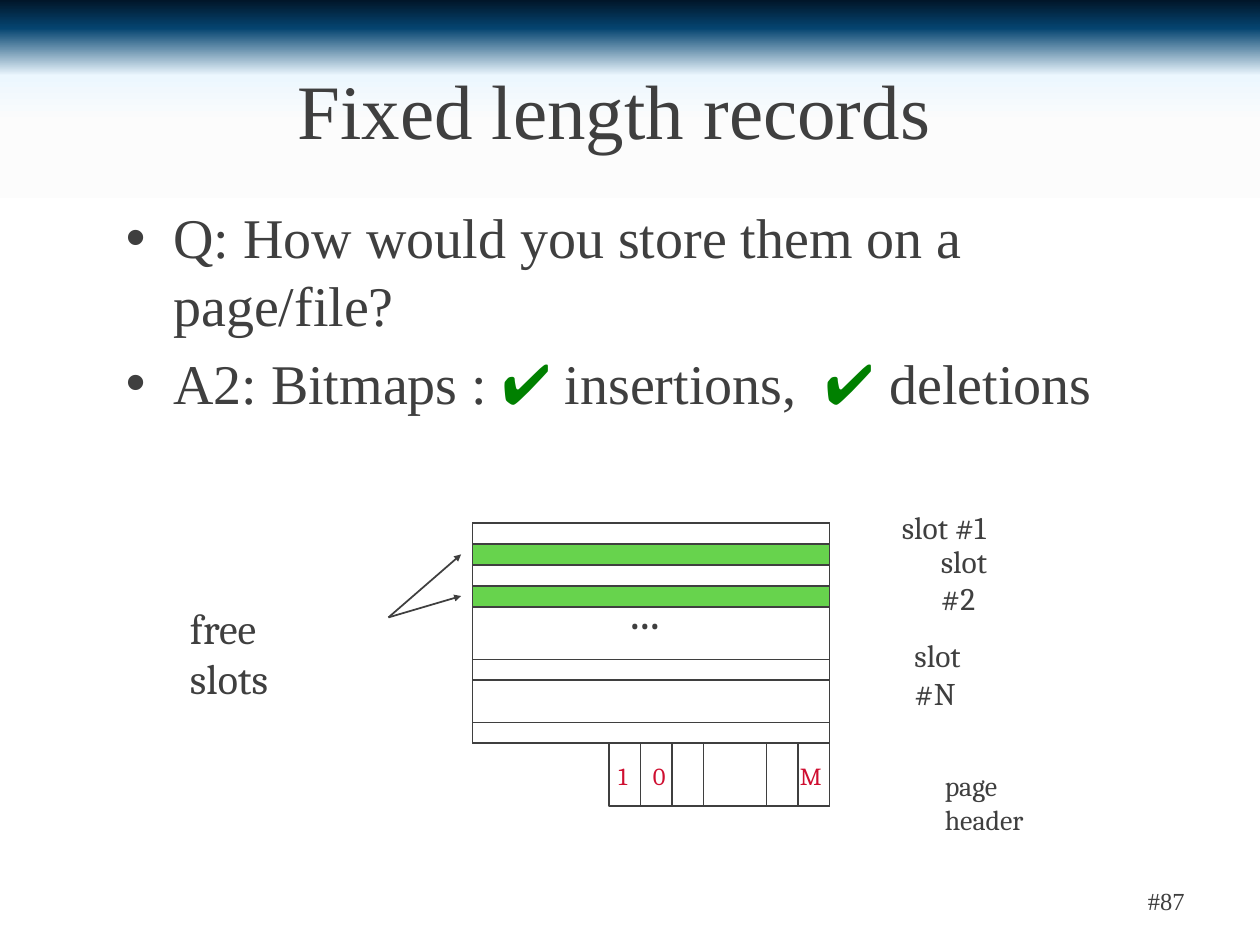
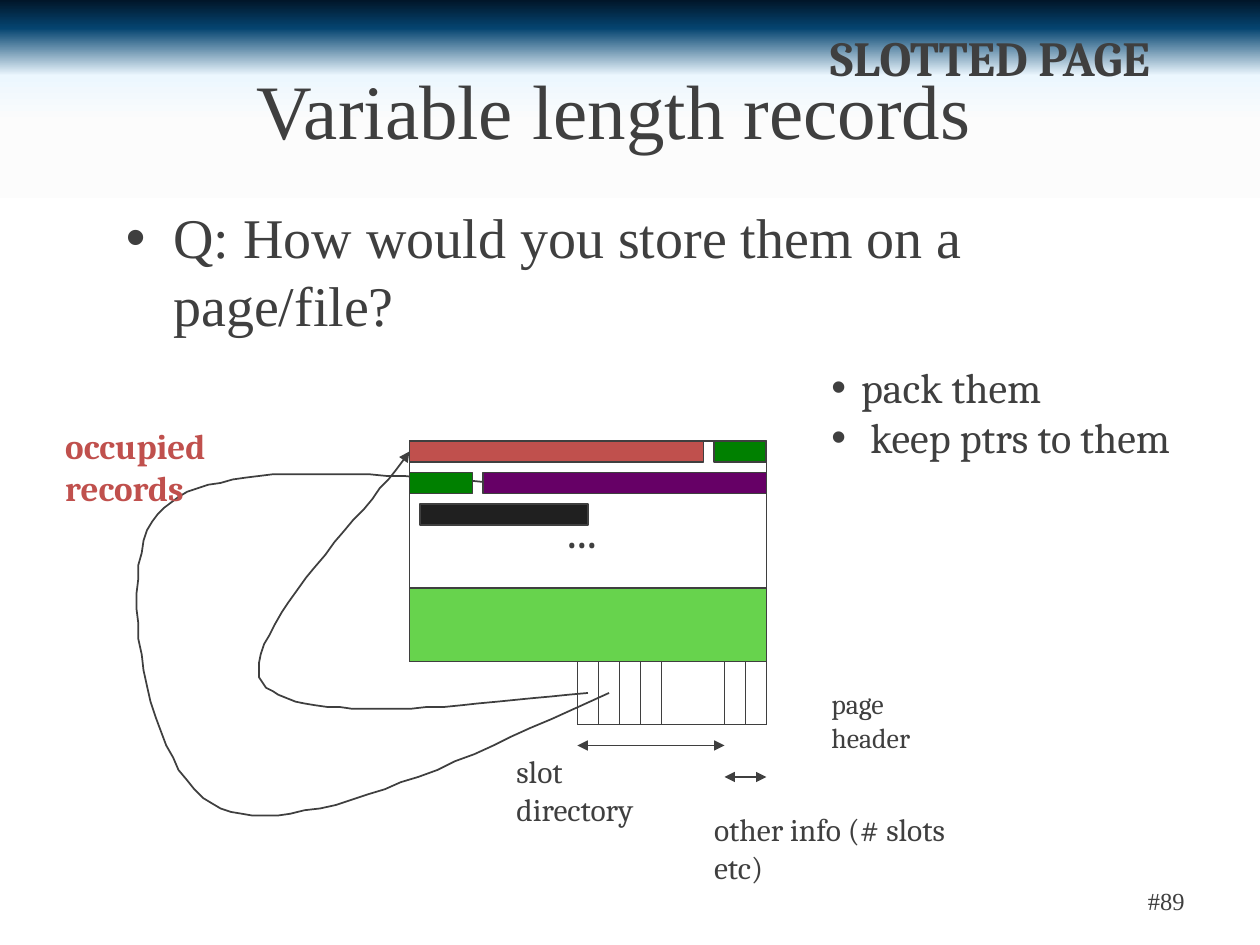
from dataclasses import dataclass

from lxml import etree
from pptx import Presentation
from pptx.dml.color import RGBColor
from pptx.enum.shapes import MSO_CONNECTOR, MSO_SHAPE
from pptx.enum.text import MSO_ANCHOR, PP_ALIGN
from pptx.oxml.ns import qn
from pptx.util import Pt

LEFT, CENTER, RIGHT = PP_ALIGN.LEFT, PP_ALIGN.CENTER, PP_ALIGN.RIGHT
TOP, MIDDLE = MSO_ANCHOR.TOP, MSO_ANCHOR.MIDDLE
RECTANGLE = MSO_SHAPE.RECTANGLE
STRAIGHT = MSO_CONNECTOR.STRAIGHT


@dataclass(frozen=True)
class Theme:
    ink: str = "3F3F3F"
    free: str = "67D34D"
    green: str = "008000"
    red: str = "C0504D"
    purple: str = "660066"
    black: str = "202020"
    bit: str = "CF0E30"
    heading_font: str = "Times New Roman"
    label_font: str = "Cambria"
    mark_font: str = "Arial"
    title: int = 44
    body: int = 32
    dots: int = 28
    large: int = 24
    strong: int = 20
    label: int = 18
    small: int = 16
    tiny: int = 14
    background: tuple = ((0, "011629"), (3, "054470"), (8, "ECF7FE"),
                         (13, "FCFCFC"), (21, "FFFFFF"), (98, "FFFFFF"))


theme = Theme()


def add_text(page, place, paragraphs, size, font=theme.label_font, color=theme.ink,
             bold=False, align=LEFT, anchor=TOP, indent=0, gap=0):
    box = page.shapes.add_textbox(*[Pt(value) for value in place])
    frame = box.text_frame
    frame.word_wrap = True
    frame.vertical_anchor = anchor
    for index, text in enumerate(paragraphs):
        para = frame.paragraphs[0] if index == 0 else frame.add_paragraph()
        para.text = text
        para.alignment = align
        if index:
            para.space_before = Pt(gap)
        if indent:
            properties = para._p.get_or_add_pPr()
            properties.set("marL", str(Pt(indent)))
            properties.set("indent", str(-Pt(indent)))
            etree.SubElement(properties, qn("a:buFont"), typeface=theme.mark_font)
            etree.SubElement(properties, qn("a:buChar"), char="•")
        for span in para.runs:
            span.font.size = Pt(size)
            span.font.name = font
            span.font.bold = bold
            span.font.color.rgb = RGBColor.from_string(color)
    return box


def draw_line(shape, ends=(), head_size="med"):
    shape.line.color.rgb = RGBColor.from_string(theme.ink)
    shape.line.width = Pt(1)
    properties = shape._element.spPr
    if properties.find(qn("a:effectLst")) is None:
        etree.SubElement(properties, qn("a:effectLst"))
    for end in ends:
        etree.SubElement(shape.line._get_or_add_ln(), qn(f"a:{end}"),
                         type="triangle", w=head_size, len=head_size)


deck = Presentation()
deck.slide_width, deck.slide_height = Pt(720), Pt(540)

fill = deck.slide_master.background.fill
fill.gradient()
fill.gradient_angle = 270
stops = deck.slide_master.element.find(".//" + qn("a:gsLst"))
stops.clear()
for percent, color in theme.background:
    stop = etree.SubElement(stops, qn("a:gs"), pos=str(percent * 1000))
    etree.SubElement(stop, qn("a:srgbClr"), val=color)

question = "Q: How would you store them on a page/file?"
pages, bodies = [], []
for title, number, points in (
    ("Fixed length records", "#87", [question, "A2: Bitmaps : "]),
    ("Variable length records", "#89", [question]),
):
    page = deck.slides.add_slide(deck.slide_layouts[6])
    add_text(page, (516, 500.4, 168, 28.8), [number], theme.tiny,
             theme.heading_font, align=RIGHT, anchor=MIDDLE)
    add_text(page, (12, 21.6, 678, 81), [title], theme.title,
             theme.heading_font, align=CENTER, anchor=MIDDLE)
    body = add_text(page, (12, 108, 678, 374.4), points, theme.body,
                    theme.heading_font, indent=27, gap=6.4)
    body.text_frame.margin_left = Pt(60)
    body.text_frame.margin_top = Pt(8)
    pages.append(page)
    bodies.append(body)
fixed, variable = pages

answer = bodies[0].text_frame.paragraphs[1]
for text, font, color in (
    ("✔", theme.mark_font, theme.green),
    (" insertions,  ", theme.heading_font, theme.ink),
    ("✔ ", theme.mark_font, theme.green),
    ("deletions", theme.heading_font, theme.ink),
):
    span = answer.add_run()
    span.text = text
    span.font.size = Pt(theme.body)
    span.font.name = font
    span.font.color.rgb = RGBColor.from_string(color)

curves = (
    ((336, 396), ((251, 405), (167, 413), (150, 390)),
     ((133, 367), (220, 280), (234, 258))),
    ((348, 396), ((258.5, 437.5), (169, 479), (126, 462)),
     ((83, 445), (64, 325), (90, 294)), ((116, 263), (199, 269.5), (282, 276))),
)
steps = 24
for start, *segments in curves:
    outline = variable.shapes.build_freeform(*start, scale=Pt(1))
    points, previous = [], start
    for first, second, last in segments:
        for step in range(1, steps + 1):
            t = step / steps
            points.append(tuple(
                round((1 - t) ** 3 * a + 3 * (1 - t) ** 2 * t * b
                      + 3 * (1 - t) * t ** 2 * c + t ** 3 * d, 2)
                for a, b, c, d in zip(previous, first, second, last)))
        previous = last
    outline.add_line_segments(points, close=False)
    pointer = outline.convert_to_shape()
    pointer.fill.background()
    pointer.shadow.inherit = False
    draw_line(pointer, ["tailEnd"])

row, page_width, page_height, header_width, header_height = 12, 204, 126, 108, 36
fixed_left, fixed_top = 270, 298.8
variable_left, variable_top = 234, 252
fixed_header = fixed_top + page_height
variable_header = variable_top + page_height

fixed_bars = [(fixed_left, fixed_top, page_width, page_height, None)]
fixed_bars += [(fixed_left, fixed_top + row * offset, page_width, row, color)
               for offset, color in ((0, None), (1, theme.free), (3, theme.free),
                                     (6.5, None), (9.5, None))]
fixed_bars.append((366, fixed_header, header_width, header_height, None))
fixed_bars += [(348 + 18 * cell, fixed_header, 18, header_height, None)
               for cell in (0, 1, 2, 5, 6)]

variable_bars = [(variable_left, variable_top + 84, page_width, 42, theme.free),
                 (variable_left, variable_top, page_width, page_height, None)]
variable_bars += [(variable_left + offset, variable_top + 18 * line, width, row, color)
                  for offset, line, width, color in (
                      (0, 0, 168, theme.red), (174, 0, 30, theme.green),
                      (0, 1, 36, theme.green), (42, 1, 162, theme.purple),
                      (6, 2, 96, theme.black))]
variable_bars.append((330, variable_header, header_width, header_height, None))
variable_bars += [(330 + 12 * cell, variable_header, 12, header_height, None)
                  for cell in (0, 1, 2, 3, 7, 8)]

for page, bars in ((fixed, fixed_bars), (variable, variable_bars)):
    for *place, color in bars:
        bar = page.shapes.add_shape(RECTANGLE, *[Pt(value) for value in place])
        bar.shadow.inherit = False
        if color:
            bar.fill.solid()
            bar.fill.fore_color.rgb = RGBColor.from_string(color)
        else:
            bar.fill.background()
        draw_line(bar)

both = ["headEnd", "tailEnd"]
for page, start, end, ends, head_size in (
    (fixed, (222, 352.8), (263.5, 316.8), ["tailEnd"], "sm"),
    (fixed, (222, 352.8), (263.5, 340.6), ["tailEnd"], "sm"),
    (variable, (330, 426), (414, 426), both, "med"),
    (variable, (414, 444), (438, 444), both, "med"),
):
    arrow = page.shapes.add_connector(
        STRAIGHT, *[Pt(value) for value in start + end])
    draw_line(arrow, ends, head_size)

for page, place, text, size in (
    (fixed, (508.3, 286.6, 66, 28.8), "slot #1", theme.label),
    (fixed, (530.6, 306, 55, 28.8), "slot #2", theme.label),
    (fixed, (515.5, 360, 55, 28.8), "slot #N", theme.label),
    (fixed, (352.8, 328.3, 40, 41), "...", theme.dots),
    (fixed, (101.5, 340.6, 75, 36), "free slots", theme.large),
    (fixed, (532.8, 435.6, 72, 26.6), "page header", theme.small),
    (variable, (468, 388.8, 72, 26.6), "page header", theme.small),
    (variable, (288, 426.2, 90, 28.8), "slot directory", theme.label),
    (variable, (401, 459.4, 155, 28.8), "other info (# slots etc)", theme.label),
    (variable, (316.8, 282.2, 40, 41), "...", theme.dots),
):
    add_text(page, place, [text], size)

for left, bit in ((346.3, "1"), (366, "0"), (450, "M")):
    add_text(fixed, (left, 431.3, 30, 23.8), [bit], theme.tiny, color=theme.bit)

add_text(variable, (30.2, 239, 110, 31), ["occupied records"], theme.strong,
         color=theme.red, bold=True)
add_text(variable, (468, 203, 221, 79), ["pack them", " keep ptrs to them"],
         theme.large, indent=17)
add_text(variable, (467.3, 12.2, 238.3, 41), ["SLOTTED PAGE"], theme.dots, bold=True)

deck.save("out.pptx")
